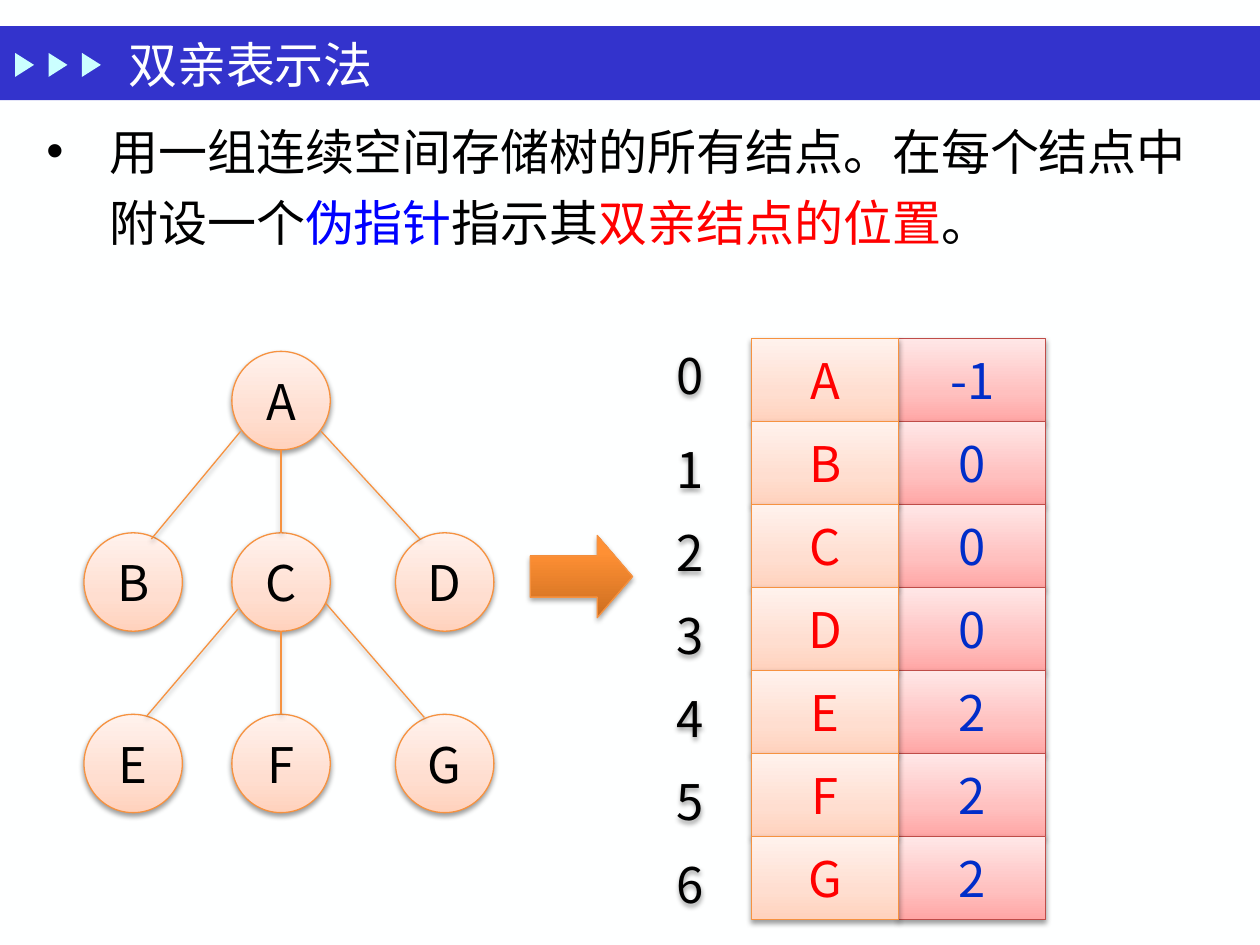
from pptx import Presentation
from pptx.dml.color import RGBColor
from pptx.enum.shapes import MSO_CONNECTOR, MSO_SHAPE
from pptx.enum.text import MSO_ANCHOR, PP_ALIGN
from pptx.oxml import parse_xml
from pptx.oxml.ns import nsdecls, qn
from pptx.util import Pt

RECTANGLE, OVAL = MSO_SHAPE.RECTANGLE, MSO_SHAPE.OVAL
TRIANGLE, ARROW = MSO_SHAPE.ISOSCELES_TRIANGLE, MSO_SHAPE.RIGHT_ARROW
STRAIGHT = MSO_CONNECTOR.STRAIGHT
TOP, MIDDLE = MSO_ANCHOR.TOP, MSO_ANCHOR.MIDDLE
LEFT, CENTER = PP_ALIGN.LEFT, PP_ALIGN.CENTER

WHITE = RGBColor(0xFE, 0xFF, 0xFF)
BLACK = RGBColor(0, 0, 0)
RED = RGBColor(0xFF, 0, 0)
BLUE = RGBColor(0, 0, 0xFF)
NAVY = RGBColor(0x00, 0x2D, 0xC9)
BANNER = RGBColor(0x33, 0x33, 0xCC)
ICE = RGBColor(0xCB, 0xFF, 0xFF)
ORANGE = RGBColor(0xF6, 0x92, 0x40)
BRICK = RGBColor(0xBF, 0x4C, 0x48)

# Gradient stops from bottom to top: (percent, colour)
PEACH = [(0, RGBColor(0xFF, 0xD2, 0xBD)), (35, RGBColor(0xFF, 0xDE, 0xD0)),
         (100, RGBColor(0xFF, 0xF2, 0xED))]
PINK = [(0, RGBColor(0xFF, 0xA6, 0xA5)), (35, RGBColor(0xFF, 0xC0, 0xBF)),
        (100, RGBColor(0xFF, 0xE7, 0xE7))]
AMBER = [(0, RGBColor(0xCC, 0x6E, 0x20)), (80, RGBColor(0xFF, 0x90, 0x34)),
         (100, RGBColor(0xFF, 0x91, 0x36))]

FONT, TITLE_FONT = "Noto Sans CJK SC", "Times New Roman"
FONT_SIZE = 28

# Content
TITLE = "双亲表示法"
BODY = [("用一组连续空间存储树的所有结点。在每个结点中附设一个", BLACK),
        ("伪指针", BLUE), ("指示其", BLACK), ("双亲结点的位置", RED), ("。", BLACK)]
PARENTS = [("A", "-1"), ("B", "0"), ("C", "0"), ("D", "0"),
           ("E", "2"), ("F", "2"), ("G", "2")]
# Tree nodes: (name, column, level)
NODES = [("A", 1, 0), ("B", 0, 1), ("C", 1, 1), ("D", 2, 1),
         ("E", 0, 2), ("F", 1, 2), ("G", 2, 2)]
# Slanted edges: (x1, y1, x2, y2)
SLANTED_EDGES = [(137.5, 246.5, 86.5, 308), (183.5, 246.5, 240, 308),
                 (136, 348, 84, 409), (186, 344.5, 242.5, 410)]

# Layout
NODE_SIZE = 56.2
NODE_LEFTS = [48, 132.5, 226]
LEVEL_TOP, LEVEL_STEP = 200.8, 103.7
ROW_TOP, ROW_STEP = 193.6, 47.4
CELL_WIDTH = 84
NAME_LEFT, POINTER_LEFT, INDEX_LEFT = 429.6, 513.6, 366.5


def add_shadow(shape, blur=3.1, distance=1.6, opacity=38):
    shape._element.spPr.append(parse_xml(
        f'<a:effectLst {nsdecls("a")}><a:outerShdw blurRad="{Pt(blur)}" dist="{Pt(distance)}" '
        f'dir="5400000" rotWithShape="0"><a:srgbClr val="{BLACK}">'
        f'<a:alpha val="{opacity * 1000}"/></a:srgbClr></a:outerShdw></a:effectLst>'))


def add_plain(slide, kind, box, color):
    shape = slide.shapes.add_shape(kind, *map(Pt, box))
    shape.fill.solid()
    shape.fill.fore_color.rgb = color
    shape.line.fill.background()
    shape.shadow.inherit = False
    return shape


def add_gradient(slide, kind, box, stops, line_color, **shadow):
    shape = slide.shapes.add_shape(kind, *map(Pt, box))
    stop_xml = "".join(f'<a:gs pos="{position * 1000}"><a:srgbClr val="{color}"/></a:gs>'
                       for position, color in stops)
    shape._element.spPr.find(qn("a:prstGeom")).addnext(parse_xml(
        f'<a:gradFill {nsdecls("a")} rotWithShape="1"><a:gsLst>{stop_xml}</a:gsLst>'
        '<a:lin ang="16200000" scaled="0"/></a:gradFill>'))
    shape.line.color.rgb = line_color
    shape.line.width = Pt(0.75)
    add_shadow(shape, **shadow)
    return shape


def write(shape, runs, font=FONT, align=CENTER, anchor=MIDDLE, wrap=False):
    frame = shape.text_frame
    frame.word_wrap = wrap
    frame.vertical_anchor = anchor
    paragraph = frame.paragraphs[0]
    paragraph.alignment = align
    for text, color in runs:
        run = paragraph.add_run()
        run.text = text
        run.font.size = Pt(FONT_SIZE)
        run.font.name = font
        run.font.color.rgb = color
        run._r.get_or_add_rPr().find(qn("a:latin")).addnext(
            parse_xml(f'<a:ea {nsdecls("a")} typeface="{FONT}"/>'))
    return paragraph


def add_edge(slide, x1, y1, x2, y2):
    edge = slide.shapes.add_connector(STRAIGHT, Pt(x1), Pt(y1), Pt(x2), Pt(y2))
    edge.line.color.rgb = ORANGE
    edge.line.width = Pt(0.75)
    add_shadow(edge)


def add_header(slide):
    add_plain(slide, RECTANGLE, (0, 15, 720, 42.3), BANNER)
    for number in range(3):
        marker = add_plain(slide, TRIANGLE, (7.2 + 19.1 * number, 31.7, 13.7, 10.8), ICE)
        marker.rotation = 90
    title = slide.shapes.add_textbox(Pt(66.2), Pt(18.7), Pt(504), Pt(36))
    write(title, [(TITLE, WHITE)], font=TITLE_FONT, align=LEFT)


def add_body(slide):
    body = slide.shapes.add_textbox(Pt(19.4), Pt(58.3), Pt(680.4), Pt(109.4))
    paragraph = write(body, BODY, align=LEFT, anchor=TOP, wrap=True)
    paragraph.line_spacing = 1.22
    paragraph.space_before = Pt(4)
    properties = paragraph._p.get_or_add_pPr()
    properties.set("marL", str(Pt(36)))
    properties.set("indent", str(Pt(-36)))
    properties.append(parse_xml(f'<a:buFont {nsdecls("a")} typeface="Arial"/>'))
    properties.append(parse_xml(f'<a:buChar {nsdecls("a")} char="•"/>'))


def add_tree(slide):
    for name, column, level in NODES:
        box = (NODE_LEFTS[column], LEVEL_TOP + LEVEL_STEP * level, NODE_SIZE, NODE_SIZE)
        write(add_gradient(slide, OVAL, box, PEACH, ORANGE), [(name, BLACK)])
    middle = NODE_LEFTS[1] + NODE_SIZE / 2
    for level in range(2):
        top = LEVEL_TOP + LEVEL_STEP * level
        add_edge(slide, middle, top + NODE_SIZE, middle, top + LEVEL_STEP)
    for edge in SLANTED_EDGES:
        add_edge(slide, *edge)


def add_array(slide):
    tops = [ROW_TOP + ROW_STEP * row for row in range(len(PARENTS))]
    # Parent positions, behind the names
    for top, (_, parent) in zip(tops, PARENTS):
        cell = add_gradient(slide, RECTANGLE, (POINTER_LEFT, top, CELL_WIDTH, ROW_STEP),
                            PINK, BRICK)
        write(cell, [(parent, NAVY)])
    # Names with their index
    for index, (top, (name, _)) in enumerate(zip(tops, PARENTS)):
        cell = add_gradient(slide, RECTANGLE, (NAME_LEFT, top, CELL_WIDTH, ROW_STEP),
                            PEACH, ORANGE)
        write(cell, [(name, RED)])
        first = index == 0
        label = slide.shapes.add_textbox(Pt(INDEX_LEFT), Pt(top + (3.6 if first else 1.4)),
                                         Pt(56), Pt(51))
        write(label, [(str(index), BLACK)], anchor=TOP if first else MIDDLE, wrap=True)
        if first:
            label.text_frame.margin_top = 0
        add_shadow(label)


def main():
    presentation = Presentation()
    presentation.slide_width, presentation.slide_height = Pt(720), Pt(540)
    slide = presentation.slides.add_slide(presentation.slide_layouts[6])
    slide.background.fill.solid()
    slide.background.fill.fore_color.rgb = WHITE
    add_header(slide)
    add_body(slide)
    add_tree(slide)
    arrow = add_gradient(slide, ARROW, (303, 306, 58.5, 47), AMBER, ORANGE,
                         distance=1.8, opacity=35)
    arrow.adjustments[0], arrow.adjustments[1] = 0.5, 0.43
    add_array(slide)
    presentation.save("out.pptx")


if __name__ == "__main__":
    main()
